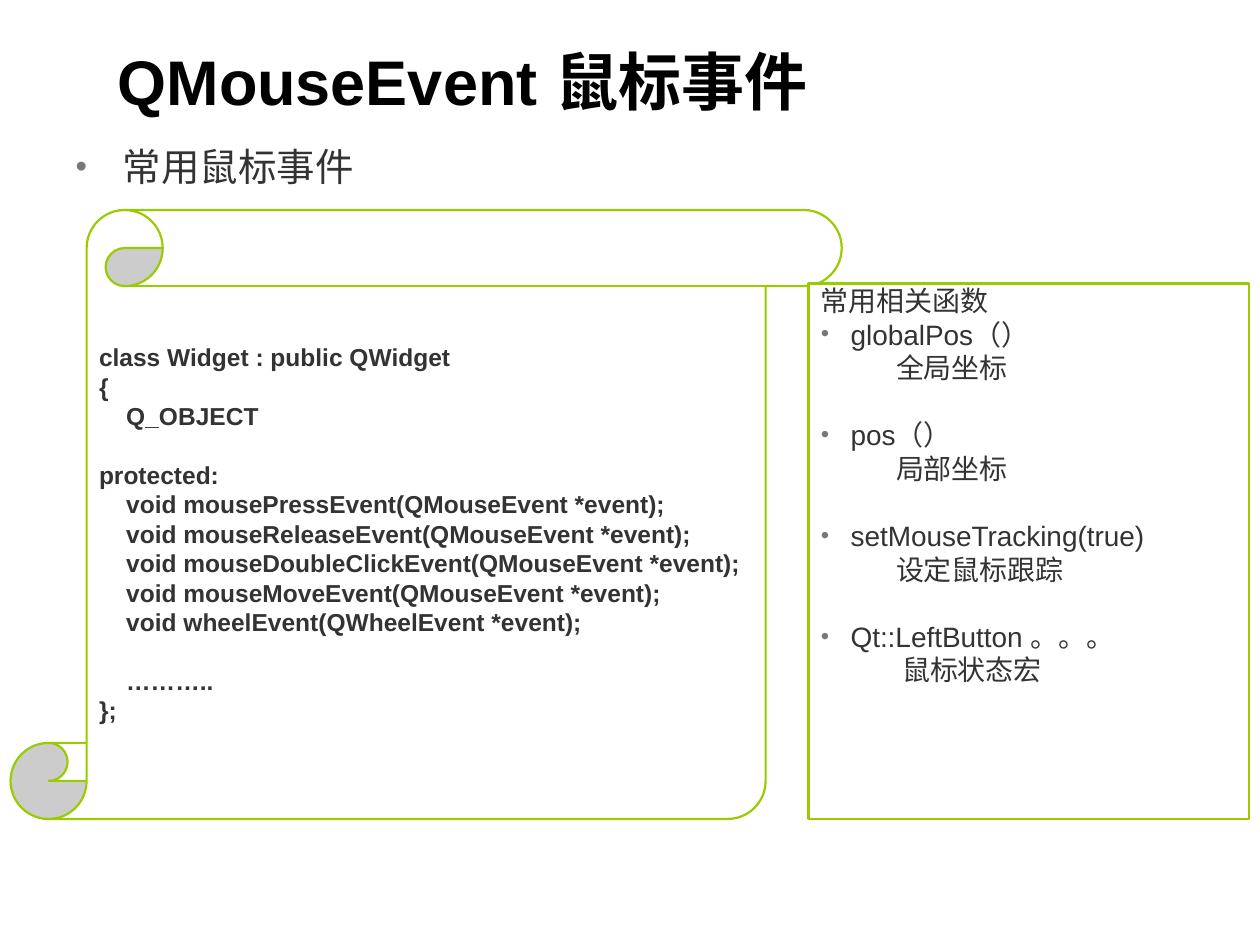
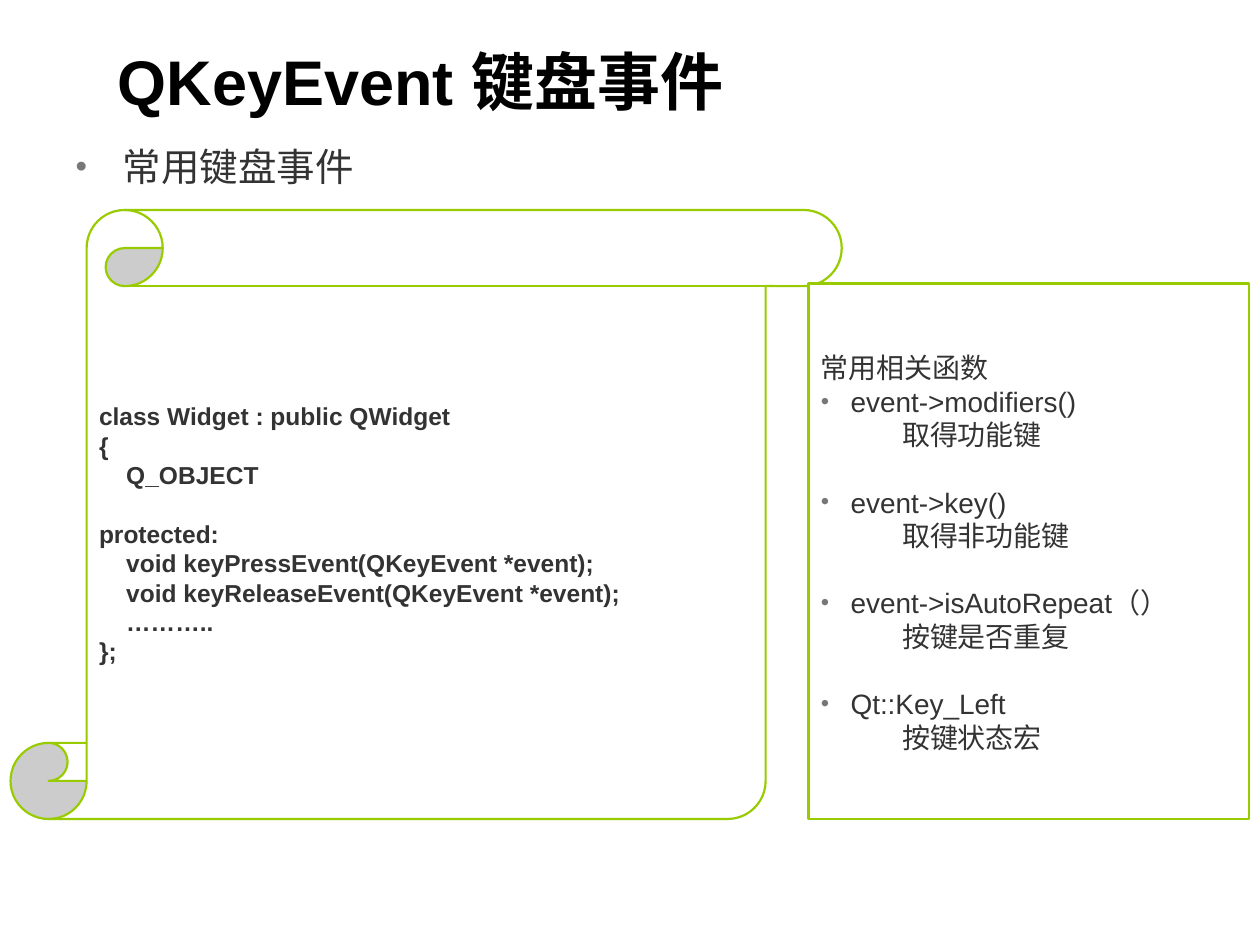
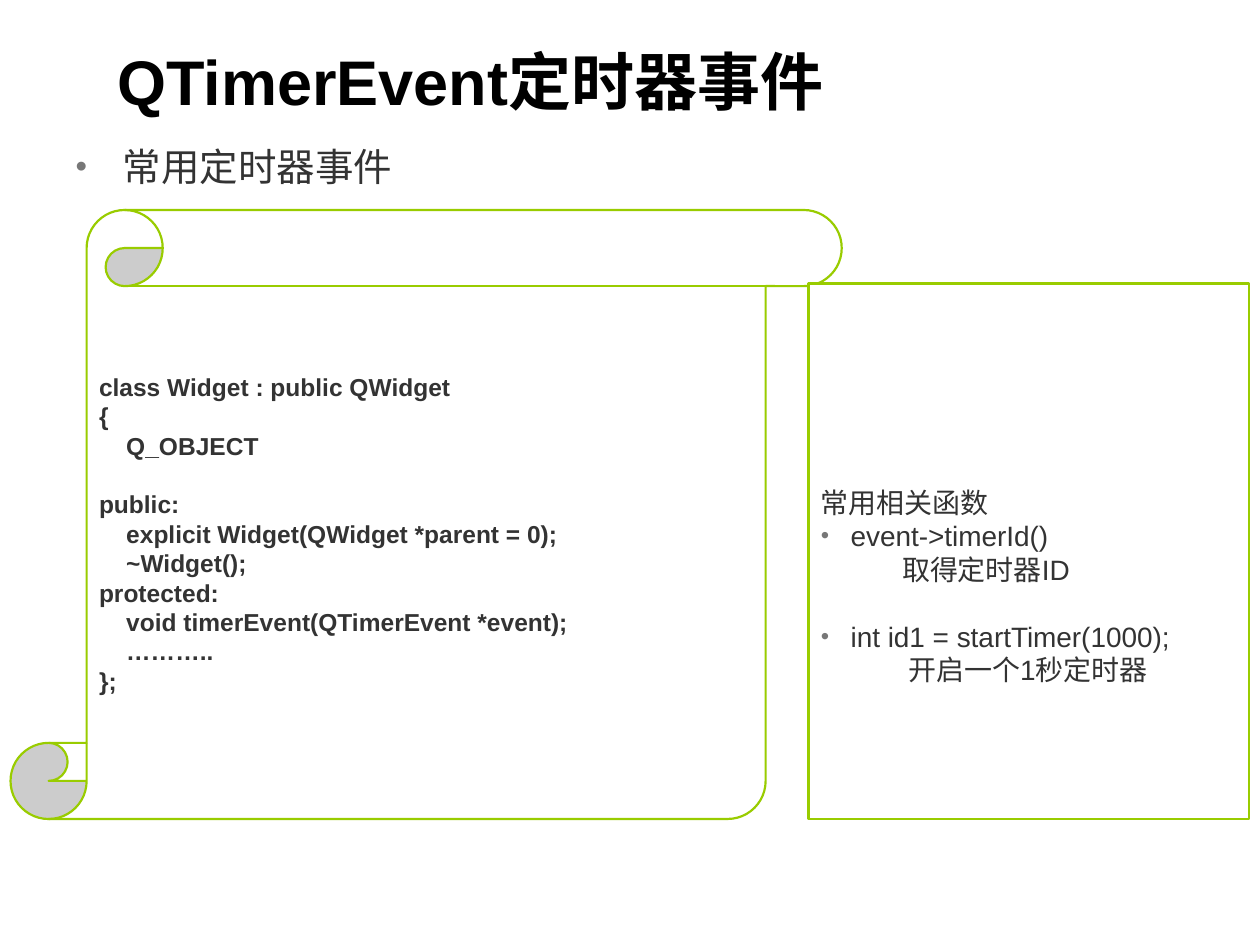
from lxml.etree import SubElement
from pptx import Presentation
from pptx.dml.color import RGBColor
from pptx.enum.shapes import MSO_SHAPE
from pptx.enum.text import MSO_ANCHOR, MSO_AUTO_SIZE, PP_ALIGN
from pptx.oxml.ns import qn
from pptx.util import Pt

COLORS = {"title": "000000", "text": "333333", "bullet": "777777",
          "line": "99CC00", "panel": "FFFFFF"}
FONT = "Arial"
TITLE_BOX = (60, 18, 624, 56)
BODY_BOX = (36, 78, 648, 396)
CODE_BOX = (6, 120, 475, 348)
FUNC_BOX = (462, 162, 252, 306)
CODE_SIZE, FUNC_SIZE = 14, 16
LEADING = 1.2

SLIDES = [
    {
        "title": "QMouseEvent 鼠标事件",
        "topic": "常用鼠标事件",
        "code": """class Widget : public QWidget
{
    Q_OBJECT

protected:
    void mousePressEvent(QMouseEvent *event);
    void mouseReleaseEvent(QMouseEvent *event);
    void mouseDoubleClickEvent(QMouseEvent *event);
    void mouseMoveEvent(QMouseEvent *event);
    void wheelEvent(QWheelEvent *event);

    ………..
};""",
        "lines_above": 0,
        "functions": [
            ("globalPos（）", "全局坐标", 43),
            ("pos（）", "局部坐标", 43),
            ("setMouseTracking(true)", "设定鼠标跟踪", 43),
            ("Qt::LeftButton 。。。", "鼠标状态宏", 46.5),
        ],
    },
    {
        "title": "QKeyEvent 键盘事件",
        "topic": "常用键盘事件",
        "code": """class Widget : public QWidget
{
    Q_OBJECT

protected:
    void keyPressEvent(QKeyEvent *event);
    void keyReleaseEvent(QKeyEvent *event);
    ………..
};""",
        "lines_above": 2,
        "functions": [
            ("event->modifiers()", "取得功能键", 46.5),
            ("event->key()", "取得非功能键", 46.5),
            ("event->isAutoRepeat（）", "按键是否重复", 46.5),
            ("Qt::Key_Left", "按键状态宏", 46.5),
        ],
    },
    {
        "title": "QTimerEvent定时器事件",
        "topic": "常用定时器事件",
        "code": """class Widget : public QWidget
{
    Q_OBJECT

public:
    explicit Widget(QWidget *parent = 0);
    ~Widget();
protected:
    void timerEvent(QTimerEvent *event);
    ………..
};""",
        "lines_above": 6,
        "functions": [
            ("event->timerId()", "取得定时器ID", 46.5),
            ("int id1 = startTimer(1000);", "开启一个1秒定时器", 50),
        ],
    },
]


def rgb(name):
    return RGBColor.from_string(COLORS[name])


def add_text(tf, text, size, color="text", bold=False, left=0, bullet=False,
             before=0, leading=LEADING):
    p = tf.paragraphs[0]
    if p.runs:
        p = tf.add_paragraph()
    pPr = p._p.get_or_add_pPr()
    pPr.set("marL", str(Pt(left)))
    pPr.set("indent", str(-Pt(left) if bullet else 0))
    if bullet:
        clr = SubElement(pPr, qn("a:buClr"))
        SubElement(clr, qn("a:srgbClr"), val=COLORS["bullet"])
        SubElement(pPr, qn("a:buSzPct"), val="85000")
        SubElement(pPr, qn("a:buFont"), typeface=FONT)
        SubElement(pPr, qn("a:buChar"), char="•")
    p.alignment = PP_ALIGN.LEFT
    p.space_before = Pt(before)
    p.line_spacing = Pt(size * leading) if leading else 1.0
    r = p.add_run()
    r.text = text
    r.font.name = FONT
    r.font.size = Pt(size)
    r.font.bold = bold
    r.font.color.rgb = rgb(color)


def place(sp, box):
    sp.left, sp.top, sp.width, sp.height = map(Pt, box)
    tf = sp.text_frame
    tf.word_wrap = True
    tf.auto_size = MSO_AUTO_SIZE.NONE
    return tf


def add_panel(s, kind, box):
    sp = s.shapes.add_shape(kind, *map(Pt, box))
    sp.shadow.inherit = False
    sp.fill.solid()
    sp.fill.fore_color.rgb = rgb("panel")
    sp.line.color.rgb = rgb("line")
    sp.line.width = Pt(1.25)
    return place(sp, box)


def add_code(s, box, code):
    tf = add_panel(s, MSO_SHAPE.VERTICAL_SCROLL, box)
    tf.vertical_anchor = MSO_ANCHOR.MIDDLE
    gap = 0
    for line in code.splitlines():
        if line:
            add_text(tf, line, CODE_SIZE, bold=True, before=gap)
            gap = 0
        else:
            gap = CODE_SIZE * LEADING


def add_functions(s, box, functions, lines_above):
    tf = add_panel(s, MSO_SHAPE.RECTANGLE, box)
    tf.vertical_anchor = MSO_ANCHOR.TOP
    line_height = FUNC_SIZE * LEADING
    tf.margin_top = Pt(lines_above * line_height)
    add_text(tf, "常用相关函数", FUNC_SIZE)
    for i, (name, meaning, left) in enumerate(functions):
        add_text(tf, name, FUNC_SIZE, left=17, bullet=True,
                 before=line_height if i else 0)
        add_text(tf, meaning, FUNC_SIZE, left=left)


def add_event_slide(prs, title, topic, code, functions, lines_above):
    s = prs.slides.add_slide(prs.slide_layouts[1])
    tf = place(s.shapes.title, TITLE_BOX)
    tf.vertical_anchor = MSO_ANCHOR.MIDDLE
    add_text(tf, title, 36, color="title", bold=True, leading=None)
    tf = place(s.placeholders[1], BODY_BOX)
    add_text(tf, topic, 22, left=27, bullet=True)
    add_code(s, CODE_BOX, code)
    add_functions(s, FUNC_BOX, functions, lines_above)


def main():
    prs = Presentation()
    prs.slide_width, prs.slide_height = Pt(720), Pt(540)
    for slide in SLIDES:
        add_event_slide(prs, **slide)
    prs.save("out.pptx")


if __name__ == "__main__":
    main()
